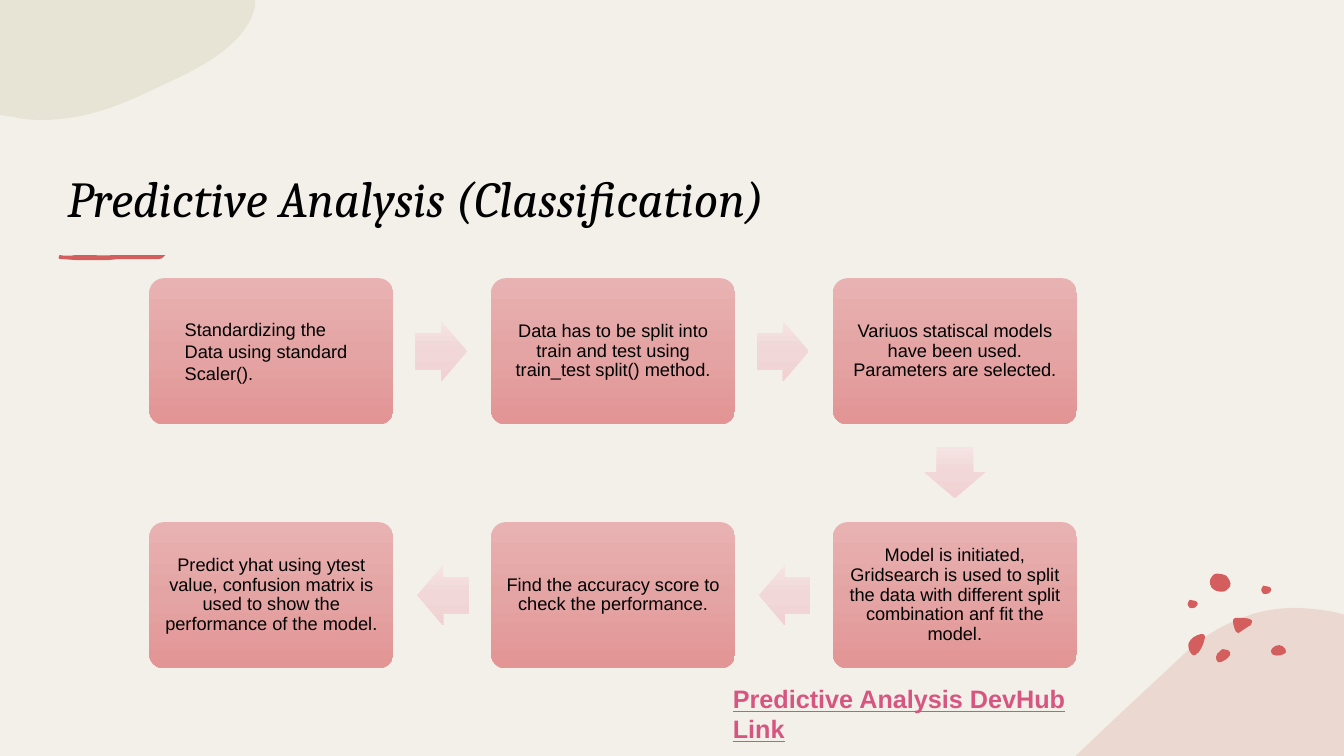
import copy
import pptx
import pptx.dml.color
import pptx.enum.shapes
import pptx.enum.text
import pptx.oxml
import pptx.oxml.ns
import pptx.util
from pptx.util import Inches

COLORS = {
    "back": "F3F0E9", "text": "000000", "link": "D75681",
    "red": "D45E5E", "rose": "E5C4BA", "sage": "DCD9C3",
}
BOX_FADE = ["E9B2B2", "E4A4A4", "E39494"]
ARROW_FADE = ["F6E3E3", "F1D7D7", "F1D1D1"]

TITLE = "Predictive Analysis (Classification)"
LINK = "Predictive Analysis DevHub Link"
# column, row, paragraphs
STEPS = [
    (0, 0, ["Standardizing the", "Data using standard", "Scaler()."]),
    (1, 0, ["Data has to be split into train and test using train_test split() method."]),
    (2, 0, ["Variuos statiscal models have been used. Parameters are selected."]),
    (2, 1, ["Model is initiated, Gridsearch is used to split the data with different "
            "split combination anf fit the model."]),
    (1, 1, ["Find the accuracy score to check the performance."]),
    (0, 1, ["Predict yhat using ytest value, confusion matrix is used to show the "
            "performance of the model."]),
]

# Each outline: a start point, then line ends (x, y) or cubic curves (six numbers).
HILL = [(12.88, 6.03), (13.01, 6.04, 13.14, 6.05, 13.27, 6.08), (13.33, 6.1),
        (13.33, 7.5), (10.67, 7.5), (10.68, 7.49),
        (11.02, 7.16, 11.37, 6.84, 11.69, 6.54),
        (11.91, 6.32, 12.14, 6.19, 12.37, 6.11),
        (12.54, 6.05, 12.71, 6.03, 12.88, 6.03)]
CLOUD = [(0, 0), (2.53, 0), (2.53, 0.06), (2.45, 0.44, 2, 0.67, 1.58, 0.86),
         (1.23, 1.03, 0.86, 1.19, 0.41, 1.19),
         (0.31, 1.19, 0.22, 1.18, 0.13, 1.16), (0, 1.14)]
STROKE = [(0.86, 2.58), (0.92, 2.58), (1.07, 2.58), (1.18, 2.57), (1.57, 2.57),
          (1.63, 2.57, 1.61, 2.54, 1.64, 2.53), (1.11, 2.53),
          (1.06, 2.54, 0.94, 2.53, 0.88, 2.53), (0.75, 2.53),
          (0.7, 2.54, 0.64, 2.54, 0.59, 2.53),
          (0.58, 2.54, 0.57, 2.58, 0.61, 2.57), (0.75, 2.58)]
PEBBLE = [(0, 0.05), (0, 0.05, 0, 0.01, 0.02, 0), (0.04, 0, 0.05, 0, 0.07, 0.01),
          (0.08, 0.01, 0.1, 0.02, 0.1, 0.04), (0.1, 0.05, 0.09, 0.06, 0.08, 0.07),
          (0.08, 0.07, 0.08, 0.08, 0.06, 0.08), (0.05, 0.08, 0.03, 0.09, 0.02, 0.08),
          (0.01, 0.06, 0, 0.06, 0, 0.05)]
PEBBLE_SPOTS = [(12.51, 5.81), (11.78, 5.95)]
DOTS = [
    [(12.13, 6.44), (12.15, 6.44, 12.16, 6.44, 12.18, 6.45),
     (12.2, 6.46, 12.21, 6.48, 12.2, 6.5), (12.18, 6.53, 12.12, 6.58, 12.08, 6.57),
     (12.07, 6.56, 12.06, 6.54, 12.06, 6.52), (12.06, 6.5, 12.08, 6.47, 12.1, 6.46),
     (12.11, 6.45, 12.12, 6.44, 12.13, 6.44)],
    [(11.91, 6.29), (11.93, 6.29, 11.95, 6.29, 11.95, 6.31), (11.95, 6.33),
     (11.94, 6.38, 11.92, 6.43, 11.89, 6.47), (11.87, 6.49, 11.84, 6.52, 11.82, 6.49),
     (11.79, 6.46, 11.78, 6.41, 11.79, 6.38), (11.8, 6.35, 11.82, 6.34, 11.84, 6.32),
     (11.85, 6.32, 11.88, 6.29, 11.91, 6.29)],
    [(12.69, 6.4), (12.71, 6.4, 12.74, 6.42, 12.75, 6.44),
     (12.76, 6.46, 12.76, 6.48, 12.73, 6.49), (12.7, 6.51, 12.62, 6.51, 12.61, 6.48),
     (12.6, 6.46, 12.61, 6.44, 12.62, 6.43), (12.64, 6.41, 12.66, 6.4, 12.69, 6.4)],
    [(12.01, 5.81), (12, 5.81, 11.99, 5.75, 12.02, 5.72),
     (12.04, 5.7, 12.04, 5.69, 12.07, 5.69), (12.1, 5.69, 12.14, 5.7, 12.16, 5.71),
     (12.18, 5.73, 12.22, 5.78, 12.2, 5.82), (12.17, 5.85, 12.16, 5.87, 12.12, 5.87),
     (12.09, 5.87, 12.04, 5.86, 12.03, 5.84), (12.01, 5.83, 12.01, 5.82, 12.01, 5.81)],
    [(12.28, 6.13), (12.34, 6.13, 12.45, 6.13, 12.41, 6.19),
     (12.41, 6.2, 12.4, 6.21, 12.39, 6.21), (12.36, 6.23, 12.33, 6.25, 12.3, 6.27),
     (12.29, 6.28, 12.28, 6.29, 12.26, 6.27), (12.24, 6.23, 12.23, 6.2, 12.23, 6.16),
     (12.23, 6.15, 12.23, 6.14, 12.25, 6.13)],
]

LEFT, TOP = 1.48, 2.76
BOX_W, BOX_H = 2.42, 1.45
STEP_X, STEP_Y = 3.39, 2.42
ARROW_W, ARROW_H = 0.51, 0.6
ARROW_BACK = 0.01

KINDS = pptx.enum.shapes.MSO_SHAPE
ANCHOR = pptx.enum.text.MSO_ANCHOR
ALIGN = pptx.enum.text.PP_ALIGN
qn = pptx.oxml.ns.qn


def rgb(code):
    return pptx.dml.color.RGBColor.from_string(code)


def add_blob(slide, outline, color, alpha=None, x=0, y=0):
    """Draw an outline through all its points, then bend the curved parts."""
    points = [(Inches(x + part[i]), Inches(y + part[i + 1]))
              for part in outline for i in range(0, len(part), 2)]
    pen = slide.shapes.build_freeform(*points[0])
    pen.add_line_segments(points[1:], close=True)
    blob = pen.convert_to_shape()
    lines = iter(list(blob._element.spPr.iter(qn("a:lnTo"))))
    for part in outline[1:]:
        group = [next(lines) for _ in range(len(part) // 2)]
        if len(group) == 3:
            curve = pptx.oxml.parse_xml(f'<a:cubicBezTo {pptx.oxml.ns.nsdecls("a")}/>')
            group[0].addprevious(curve)
            for line in group:
                curve.append(line[0])
                line.getparent().remove(line)
    blob.shadow.inherit = False
    blob.fill.solid()
    blob.fill.fore_color.rgb = rgb(color)
    blob.line.fill.background()
    if alpha:
        tint = blob._element.spPr.find(".//" + qn("a:srgbClr"))
        tint.append(pptx.oxml.parse_xml(
            f'<a:alpha {pptx.oxml.ns.nsdecls("a")} val="{alpha * 1000}"/>'))


def add_fade(slide, kind, x, y, w, h, adjust, fade):
    """Add a shape whose three colours run from top to bottom."""
    shape = slide.shapes.add_shape(kind, Inches(x), Inches(y), Inches(w), Inches(h))
    shape.shadow.inherit = False
    shape.line.fill.background()
    for i, value in enumerate(adjust):
        shape.adjustments[i] = value
    shape.fill.gradient()
    shape.fill.gradient_angle = 270
    stops = shape._element.spPr.find(".//" + qn("a:gsLst"))
    stops.insert(1, copy.deepcopy(stops[0]))
    stops.getparent().set("rotWithShape", "0")
    for i, stop in enumerate(shape.fill.gradient_stops):
        stop.position = i / 2
        stop.color.rgb = rgb(fade[i])
    return shape


def write(frame, lines, font, size, color, align=ALIGN.LEFT, **style):
    frame.text = "\n".join(lines)
    for para in frame.paragraphs:
        para.alignment = align
        para.font.name = font
        para.font.size = pptx.util.Pt(size)
        para.font.color.rgb = rgb(color)
        for name, value in style.items():
            setattr(para.font, name, value)


def add_text(slide, x, y, w, h, wrap, anchor):
    frame = slide.shapes.add_textbox(Inches(x), Inches(y), Inches(w), Inches(h)).text_frame
    frame.word_wrap = wrap
    frame.vertical_anchor = anchor
    return frame


def add_step(slide, x, y, lines):
    box = add_fade(slide, KINDS.ROUNDED_RECTANGLE, x, y, BOX_W, BOX_H, [0.1], BOX_FADE)
    frame = box.text_frame
    frame.word_wrap = True
    frame.vertical_anchor = ANCHOR.MIDDLE
    listed = len(lines) > 1
    frame.margin_left = Inches(0.31 if listed else 0.05)
    frame.margin_right = frame.margin_top = frame.margin_bottom = Inches(0.05)
    write(frame, lines, "Arial", 13, COLORS["text"], ALIGN.LEFT if listed else ALIGN.CENTER)
    for para in frame.paragraphs:
        para.line_spacing = 1.0 if listed else 0.9


def add_arrow(slide, start, end):
    """Point from one step's box to the next, just short of the gap's middle."""
    (x0, y0), (x1, y1) = start, end
    turn = 90 if y1 > y0 else 180 if x1 < x0 else 0
    back_x, back_y = {0: (-1, 0), 90: (0, -1), 180: (1, 0)}[turn]
    x = (x0 + x1 + BOX_W - ARROW_W) / 2 + back_x * ARROW_BACK
    y = (y0 + y1 + BOX_H - ARROW_H) / 2 + back_y * ARROW_BACK
    arrow = add_fade(slide, KINDS.RIGHT_ARROW, x, y, ARROW_W, ARROW_H, [0.6, 0.5], ARROW_FADE)
    arrow.rotation = turn


def main():
    deck = pptx.Presentation()
    deck.slide_width, deck.slide_height = Inches(13.33), Inches(7.5)
    slide = deck.slides.add_slide(deck.slide_layouts[6])
    slide.background.fill.solid()
    slide.background.fill.fore_color.rgb = rgb(COLORS["back"])

    add_blob(slide, HILL, COLORS["rose"], 50)
    add_blob(slide, CLOUD, COLORS["sage"], 50)
    for outline in DOTS + [STROKE]:
        add_blob(slide, outline, COLORS["red"])
    for x, y in PEBBLE_SPOTS:
        add_blob(slide, PEBBLE, COLORS["red"], x=x, y=y)

    title = add_text(slide, 0.57, 0.86, 11.02, 1.45, True, ANCHOR.BOTTOM)
    write(title, [TITLE], "Cambria", 36, COLORS["text"], italic=True)

    spots = [(LEFT + col * STEP_X, TOP + row * STEP_Y) for col, row, _ in STEPS]
    for (x, y), (_, _, lines) in zip(spots, STEPS):
        add_step(slide, x, y, lines)
    for start, end in zip(spots, spots[1:]):
        add_arrow(slide, start, end)

    link = add_text(slide, 7.17, 6.73, 4.02, 0.4, False, ANCHOR.TOP)
    link.auto_size = pptx.enum.text.MSO_AUTO_SIZE.SHAPE_TO_FIT_TEXT
    write(link, [LINK], "Arial", 18, COLORS["link"], bold=True, underline=True)
    deck.save("out.pptx")


if __name__ == "__main__":
    main()
